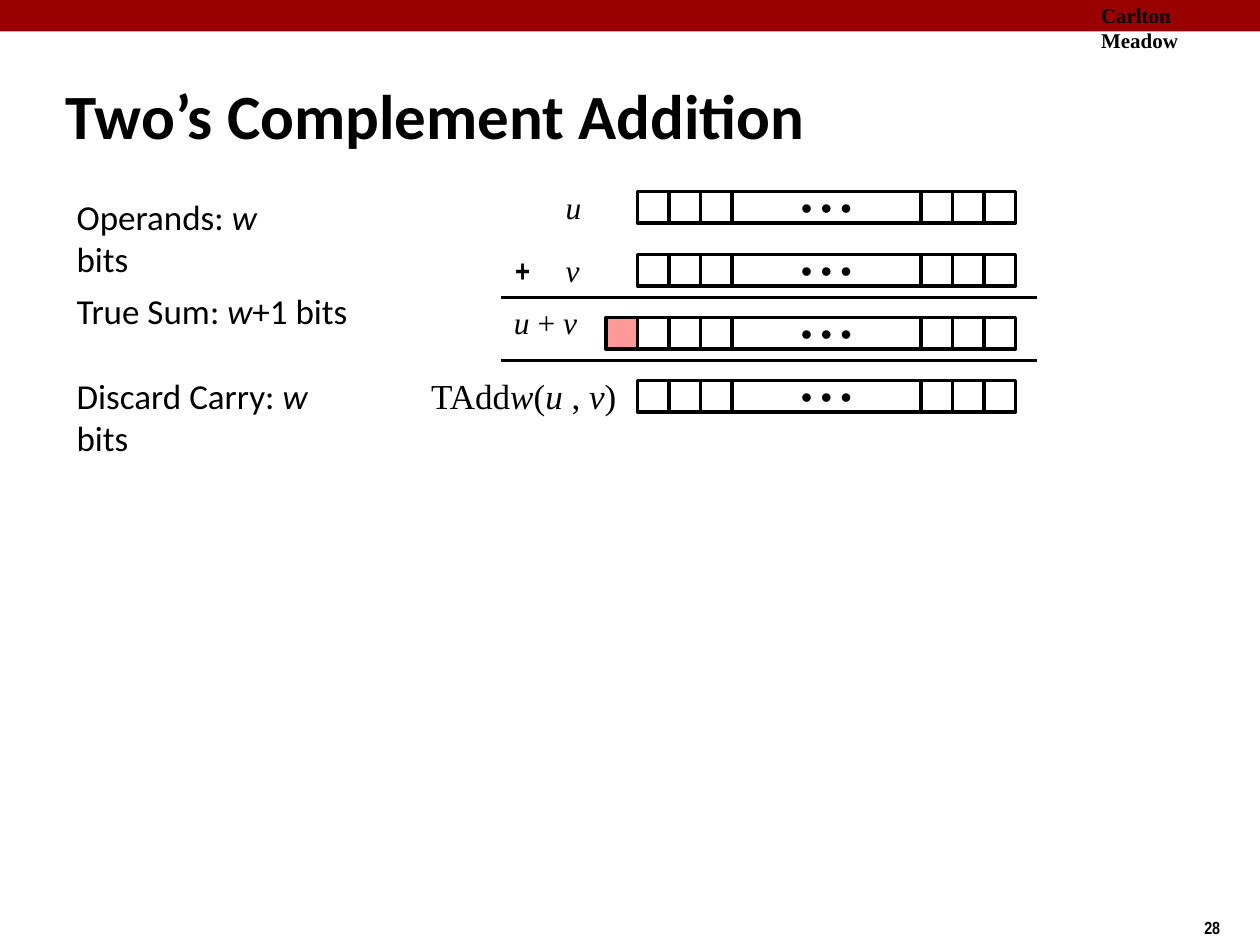
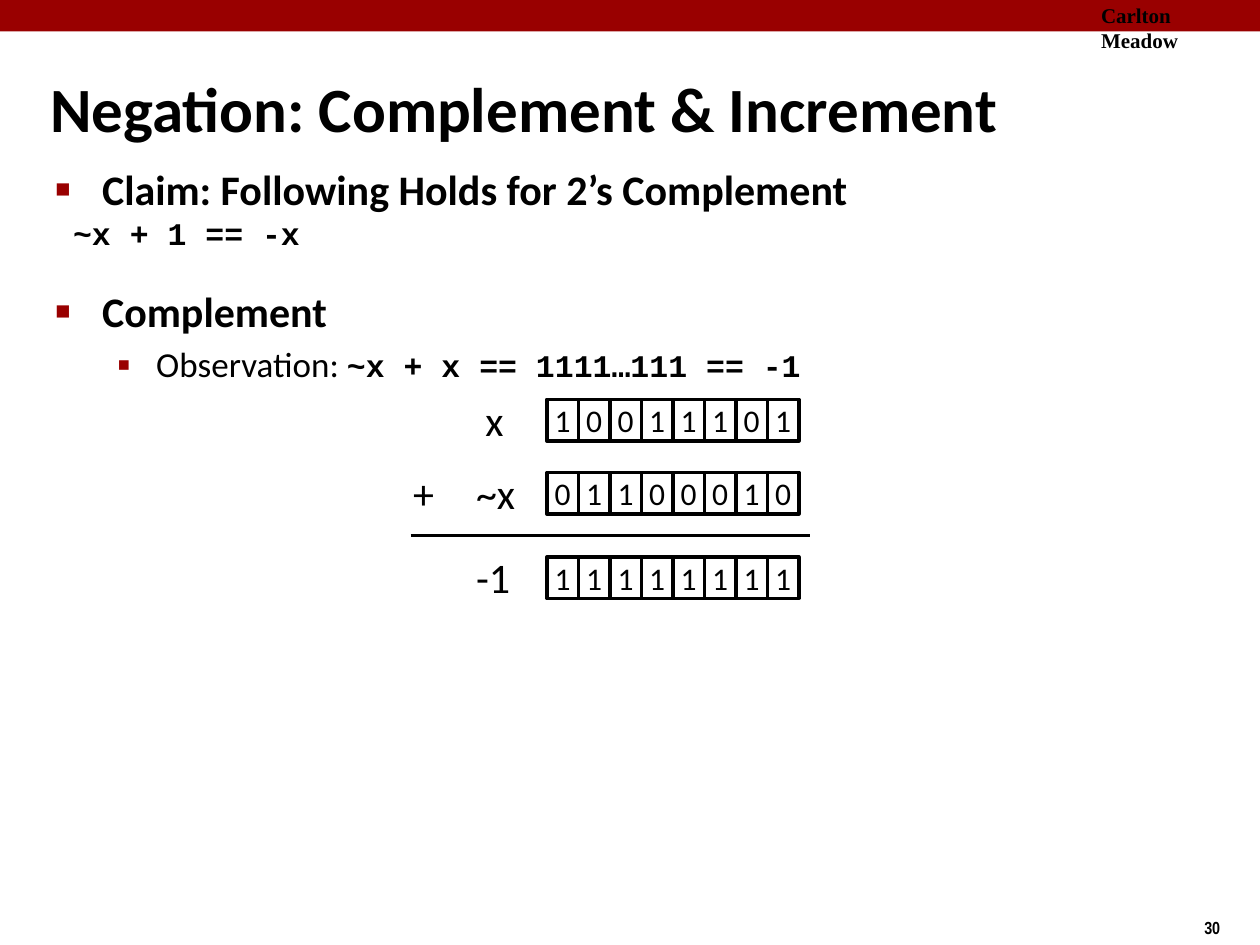
from dataclasses import dataclass
from typing import Any

from lxml import etree
from pptx import Presentation
from pptx.dml.color import RGBColor
from pptx.enum.shapes import MSO_CONNECTOR, MSO_SHAPE
from pptx.enum.text import MSO_ANCHOR, MSO_AUTO_SIZE, PP_ALIGN
from pptx.oxml.ns import qn
from pptx.util import Inches, Pt

RECT, STRAIGHT = MSO_SHAPE.RECTANGLE, MSO_CONNECTOR.STRAIGHT
TOP, MIDDLE = MSO_ANCHOR.TOP, MSO_ANCHOR.MIDDLE
NO_FIT, GROW = MSO_AUTO_SIZE.NONE, MSO_AUTO_SIZE.SHAPE_TO_FIT_TEXT
LEFT, CENTER, RIGHT = PP_ALIGN.LEFT, PP_ALIGN.CENTER, PP_ALIGN.RIGHT

RED = RGBColor(0x99, 0x00, 0x00)
PINK = RGBColor(0xFF, 0x99, 0x99)
BLACK = RGBColor(0x00, 0x00, 0x00)
WHITE = RGBColor(0xFF, 0xFF, 0xFF)
SANS, SERIF, MONO = "Calibri", "Times New Roman", "Courier New"
NARROW, DOTS_FONT = "Arial Narrow", "Arial"

SLIDE_W, SLIDE_H = Inches(10), Inches(7.5)
COLS, ROWS = 40, 30
COL, ROW = SLIDE_W / COLS, SLIDE_H / ROWS
TITLE_ONLY, TITLE_BODY = 5, 1


def write(p, text, size, font, bold=False):
    for i, part in enumerate(text.split("*")):
        if part:
            r = p.add_run()
            r.text = part
            r.font.size, r.font.name = Pt(size), font
            r.font.bold, r.font.italic = bold, i % 2 == 1
            r.font.color.rgb = BLACK


def move(sp, col, row, width, height):
    sp.left, sp.top = round(col * COL), round(row * ROW)
    sp.width, sp.height = round(width * COL), round(height * ROW)


@dataclass
class Region:
    shapes: Any
    col: float = 0
    row: float = 0

    def group(self):
        return Region(self.shapes.add_group_shape().shapes, self.col, self.row)

    def cell(self, col, row, width=1, height=1, text="", font=SANS, fill=WHITE):
        sp = self.shapes.add_shape(RECT, 0, 0, 0, 0)
        move(sp, self.col + col, self.row + row, width, height)
        sp.shadow.inherit = False
        sp.fill.solid()
        sp.fill.fore_color.rgb = fill
        sp.line.color.rgb, sp.line.width = BLACK, Pt(2)
        tf = sp.text_frame
        tf.word_wrap, tf.vertical_anchor = False, MIDDLE
        tf.paragraphs[0].alignment = CENTER
        write(tf.paragraphs[0], text, 18, font)
        return sp

    def label(self, col, row, width, text, size, font, align=LEFT, bold=False):
        sp = self.shapes.add_textbox(0, 0, 0, 0)
        move(sp, self.col + col, self.row + row, width, size / 15 + 0.4)
        tf = sp.text_frame
        tf.word_wrap, tf.auto_size = False, GROW
        tf.paragraphs[0].alignment = align
        write(tf.paragraphs[0], text, size, font, bold)

    def rule(self, start, end, row):
        y = round((self.row + row) * ROW)
        x1, x2 = (round((self.col + c) * COL) for c in (start, end))
        line = self.shapes.add_connector(STRAIGHT, x1, y, x2, y)
        line.line.color.rgb, line.line.width = BLACK, Pt(2)
        etree.SubElement(line._element.spPr, qn("a:effectLst"))


def add_slide(prs, layout, title, title_box, number):
    s = prs.slides.add_slide(prs.slide_layouts[layout])
    page = Region(s.shapes)
    band = page.cell(0, 0, COLS, 1, fill=RED)
    band.line.fill.background()
    page.label(34.56, -0.12, 5.5, "Carlton Meadow", 12, SERIF, bold=True)
    page.label(37.84, 28.92, 1.32, number, 10, NARROW, bold=True)
    move(s.shapes.title, *title_box)
    tf = s.shapes.title.text_frame
    tf.auto_size, tf.vertical_anchor = NO_FIT, TOP
    tf.paragraphs[0].alignment = LEFT
    write(tf.paragraphs[0], title, 36, SANS, True)
    return s


def add_step_names(region):
    for row, width, text in (
        (0, 8.4, "Operands: *w* bits"),
        (3, 9.4, "True Sum: *w*+1 bits"),
        (5.68, 10, "Discard Carry: *w* bits"),
    ):
        region.label(0, row, width, text, 20, SANS)


def add_word(region, col, row, carry=False):
    word = region.group()
    for bit in (0, 1, 2, 9, 10, 11):
        word.cell(col + bit, row)
    word.cell(col + 3, row, 6, text="• • •", font=DOTS_FONT)
    if carry:
        word.cell(col - 1, row, fill=PINK)


def add_word_sum(region):
    for i in range(4):
        add_word(region, 4.32, 2 * i, carry=i == 2)
    for row in (3.36, 5.36):
        region.rule(0, 17, row)
    region.label(1.64, -0.32, 1.28, "*u*", 18, SERIF)
    region.label(1.64, 1.68, 1.24, "*v*", 18, SERIF)
    region.label(0.04, 1.68, 1.28, "+", 18, NARROW, bold=True)
    region.label(0, 3.36, 2.8, "*u* + *v*", 18, SERIF, RIGHT)
    region.label(-2.64, 5.6, 6.68, "TAdd*w*(*u* , *v*)", 20, SERIF, RIGHT)


def add_bit_sum(region):
    sum_group = region.group()
    for row, bits, name, col, width in (
        (0, "10011101", "x", 2.3, 1.36),
        (2.32, "01100010", "~x", 2, 2.04),
        (5, "11111111", "-1", 2, 1.88),
    ):
        for i, bit in enumerate(bits):
            sum_group.cell(4.64 + i, row, 1, 1.32, bit)
        sum_group.label(col, row - 0.36, width, name, 24, SANS)
    sum_group.label(0, 1.96, 1.44, "+", 24, SANS)
    sum_group.rule(0.32, 13, 4.32)


def format_paragraph(p, margin, indent, before=0, after=0, bullet="", size=100):
    p.space_before, p.space_after = Pt(before), Pt(after)
    pPr = p._p.get_or_add_pPr()
    pPr.set("marL", str(Inches(margin)))
    pPr.set("indent", str(Inches(indent)))
    if not bullet:
        etree.SubElement(pPr, qn("a:buNone"))
        return
    color = etree.SubElement(pPr, qn("a:buClr"))
    etree.SubElement(color, qn("a:srgbClr"), val=str(RED))
    etree.SubElement(pPr, qn("a:buSzPct"), val=str(size * 1000))
    etree.SubElement(pPr, qn("a:buChar"), char=bullet)


def add_claims(body, box):
    move(body, *box)
    tf = body.text_frame
    tf.auto_size, tf.vertical_anchor = NO_FIT, TOP
    claim, code, complement = tf.paragraphs[0], tf.add_paragraph(), tf.add_paragraph()
    for p, text in (
        (claim, "Claim: Following Holds for 2’s Complement"),
        (complement, "Complement"),
    ):
        format_paragraph(p, 0.38, -0.37, 4.8, bullet="■", size=60)
        write(p, text, 24, SANS, True)
    format_paragraph(code, 0.15, 0, after=14.2)
    write(code, "~x + 1 == -x", 18, MONO, True)
    observation = tf.add_paragraph()
    observation.level = 1
    format_paragraph(observation, 0.81, -0.31, 4, bullet="▪", size=110)
    write(observation, "Observation: ", 20, SANS)
    write(observation, "~x + x == 1111…111 == -1", 18, MONO, True)


def addition_slide(prs):
    s = add_slide(prs, TITLE_ONLY, "Two’s Complement Addition",
                  (1.68, 2.24, 32.68, 2.44), "28")
    add_step_names(Region(s.shapes, 2.04, 6))
    add_word_sum(Region(s.shapes, 15.92, 6.08))


def negation_slide(prs):
    s = add_slide(prs, TITLE_BODY, "Negation: Complement & Increment",
                  (1.2, 2, 38.8, 2.44), "30")
    add_claims(s.placeholders[1], (1.32, 5, 34.36, 22.84))
    add_bit_sum(Region(s.shapes, 12.72, 12.68))


def main():
    prs = Presentation()
    prs.slide_width, prs.slide_height = SLIDE_W, SLIDE_H
    addition_slide(prs)
    negation_slide(prs)
    prs.save("out.pptx")


if __name__ == "__main__":
    main()
